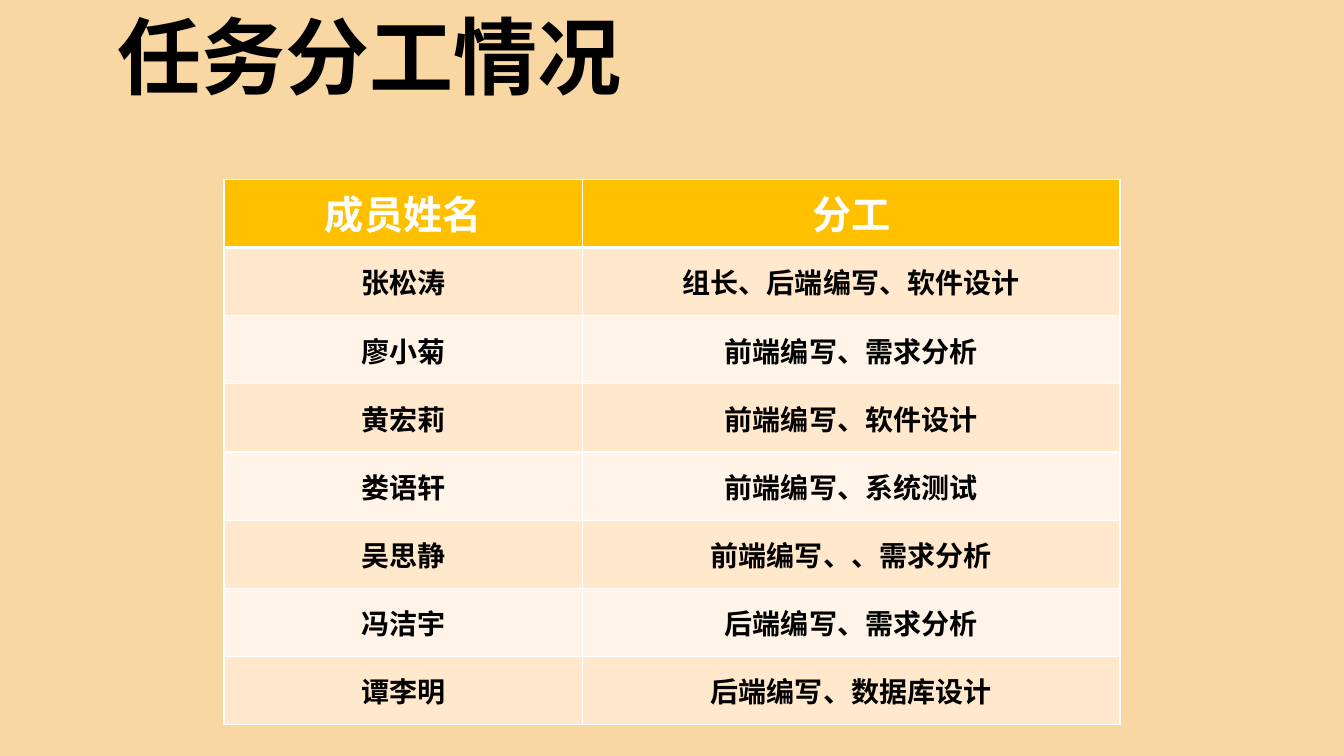
import lxml.etree
import pptx
import pptx.dml.color
import pptx.enum.shapes
import pptx.enum.text
import pptx.oxml.ns
import pptx.util

RGBColor = pptx.dml.color.RGBColor
BLACK = RGBColor(0x00, 0x00, 0x00)
WHITE = RGBColor(0xFF, 0xFF, 0xFF)
SAND = RGBColor(0xF9, 0xD7, 0xA3)
AMBER = RGBColor(0xFF, 0xC0, 0x00)
PEACH = RGBColor(0xFF, 0xE8, 0xCC)
CREAM = RGBColor(0xFF, 0xF4, 0xE7)

HAN_FONT = "Noto Sans CJK SC"
TITLE_FORMAT = {"size": pptx.util.Pt(60), "name": HAN_FONT, "bold": True}
HEADER_FORMAT = {"size": pptx.util.Pt(28), "name": "Calibri", "bold": True}
MEMBER_FORMAT = {"size": pptx.util.Pt(20), "name": "Calibri", "bold": True}
HEADER_BORDERS = {"lnL": 1, "lnR": 1, "lnT": 1, "lnB": 3}
MEMBER_BORDERS = {"lnL": 1, "lnR": 1, "lnB": 1}

HEADINGS = ("成员姓名", "分工")
MEMBERS = [
    ("张松涛", "组长、后端编写、软件设计"),
    ("廖小菊", "前端编写、需求分析"),
    ("黄宏莉", "前端编写、软件设计"),
    ("娄语轩", "前端编写、系统测试"),
    ("吴思静", "前端编写、、需求分析"),
    ("冯洁宇", "后端编写、需求分析"),
    ("谭李明", "后端编写、数据库设计"),
]


class SlideBuilder:
    def __init__(self, deck):
        self.deck = deck
        self.slide = deck.slides.add_slide(deck.slide_layouts[6])

    def place(self, left, top, width, height):
        across, down = self.deck.slide_width, self.deck.slide_height
        return (int(left * across), int(top * down),
                int(width * across), int(height * down))

    def wording(self, paragraph, text, color, format_values):
        run = paragraph.add_run()
        run.text = text
        run.font.color.rgb = color
        for attribute, value in format_values.items():
            setattr(run.font, attribute, value)
        east_asian = lxml.etree.SubElement(
            run.font._element, pptx.oxml.ns.qn("a:ea"))
        east_asian.set("typeface", HAN_FONT)

    def backdrop(self, color):
        panel = self.slide.shapes.add_shape(
            pptx.enum.shapes.MSO_SHAPE.RECTANGLE, *self.place(0, 0, 1, 1))
        panel.shadow.inherit = False
        panel.fill.solid()
        panel.fill.fore_color.rgb = color
        panel.line.fill.background()

    def title(self, text, *shares):
        heading = self.slide.shapes.add_textbox(*self.place(*shares))
        heading.text_frame.word_wrap = True
        heading.text_frame.auto_size = (
            pptx.enum.text.MSO_AUTO_SIZE.SHAPE_TO_FIT_TEXT)
        self.wording(heading.text_frame.paragraphs[0], text, BLACK,
                     TITLE_FORMAT)

    def border(self, cell, edges):
        properties = cell._tc.get_or_add_tcPr()
        for edge, points in edges.items():
            line = lxml.etree.SubElement(
                properties, pptx.oxml.ns.qn("a:" + edge),
                w=str(pptx.util.Pt(points)))
            fill = lxml.etree.SubElement(
                line, pptx.oxml.ns.qn("a:solidFill"))
            lxml.etree.SubElement(
                fill, pptx.oxml.ns.qn("a:srgbClr"), val=str(WHITE))

    def cell(self, cell, text, fill, color, format_values, edges, anchor):
        cell.vertical_anchor = anchor
        self.border(cell, edges)
        cell.fill.solid()
        cell.fill.fore_color.rgb = fill
        paragraph = cell.text_frame.paragraphs[0]
        paragraph.alignment = pptx.enum.text.PP_ALIGN.CENTER
        self.wording(paragraph, text, color, format_values)

    def table(self, headings, members, column_shares, *shares):
        records = [headings, *members]
        left, top, width, height = self.place(*shares)
        duties = self.slide.shapes.add_table(
            len(records), len(headings), left, top, width, height).table
        for column, share in zip(duties.columns, column_shares):
            column.width = int(width * share)
        anchors = pptx.enum.text.MSO_ANCHOR
        header_style = (AMBER, WHITE, HEADER_FORMAT, HEADER_BORDERS,
                        anchors.TOP)
        for row, record in enumerate(records):
            band = PEACH if row % 2 else CREAM
            member_style = (band, BLACK, MEMBER_FORMAT, MEMBER_BORDERS,
                            anchors.MIDDLE)
            style = member_style if row else header_style
            for column, text in enumerate(record):
                self.cell(duties.cell(row, column), text, *style)


def main():
    deck = pptx.Presentation()
    deck.slide_width = pptx.util.Inches(13.33)
    deck.slide_height = pptx.util.Inches(7.5)
    builder = SlideBuilder(deck)
    builder.backdrop(SAND)
    builder.table(HEADINGS, MEMBERS, (0.4, 0.6), 1 / 6, 1.78 / 7.5,
                  2 / 3, 5.41 / 7.5)
    builder.title("任务分工情况", 0.08, 0, 0.5, 0.15)
    deck.save("out.pptx")


if __name__ == "__main__":
    main()
